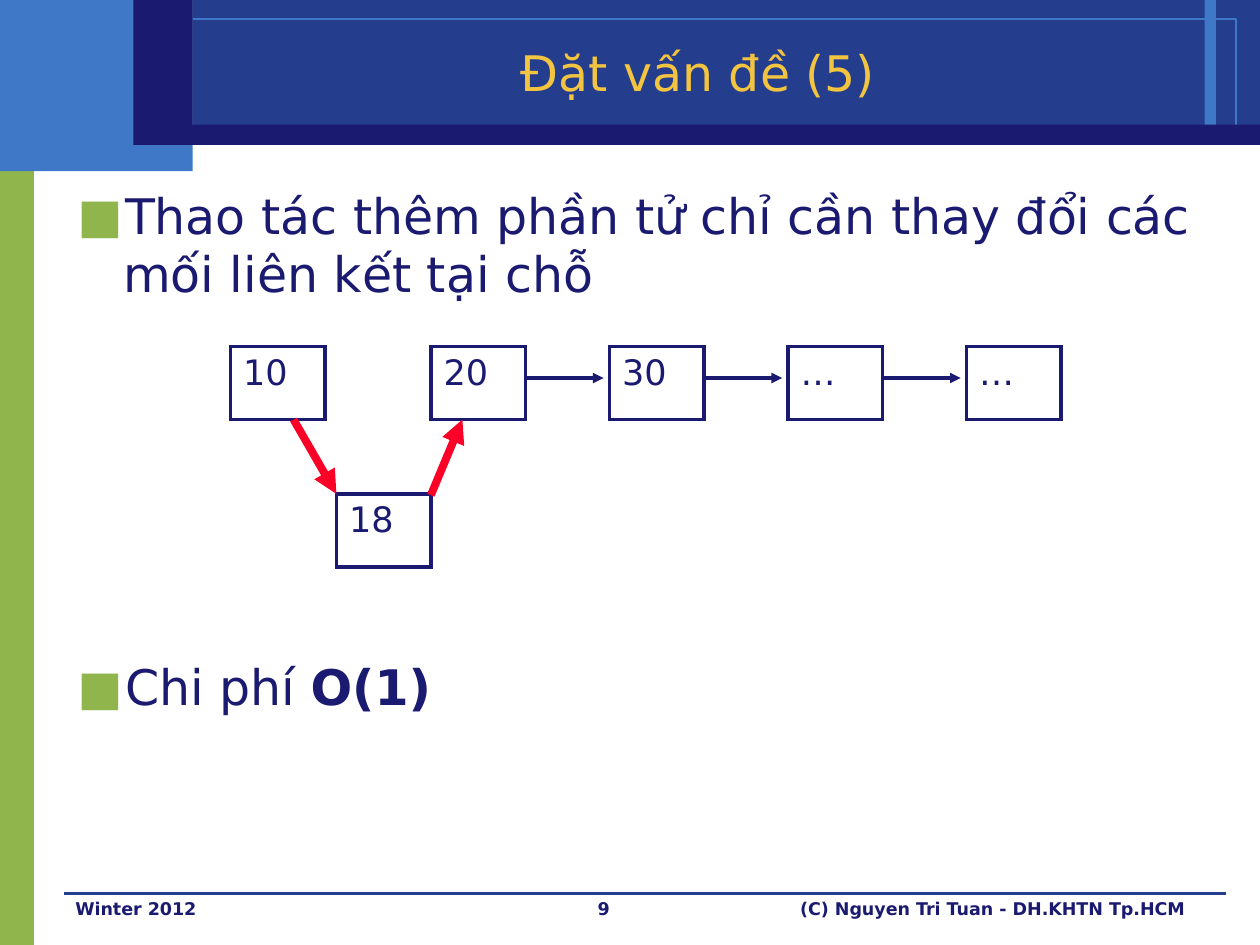
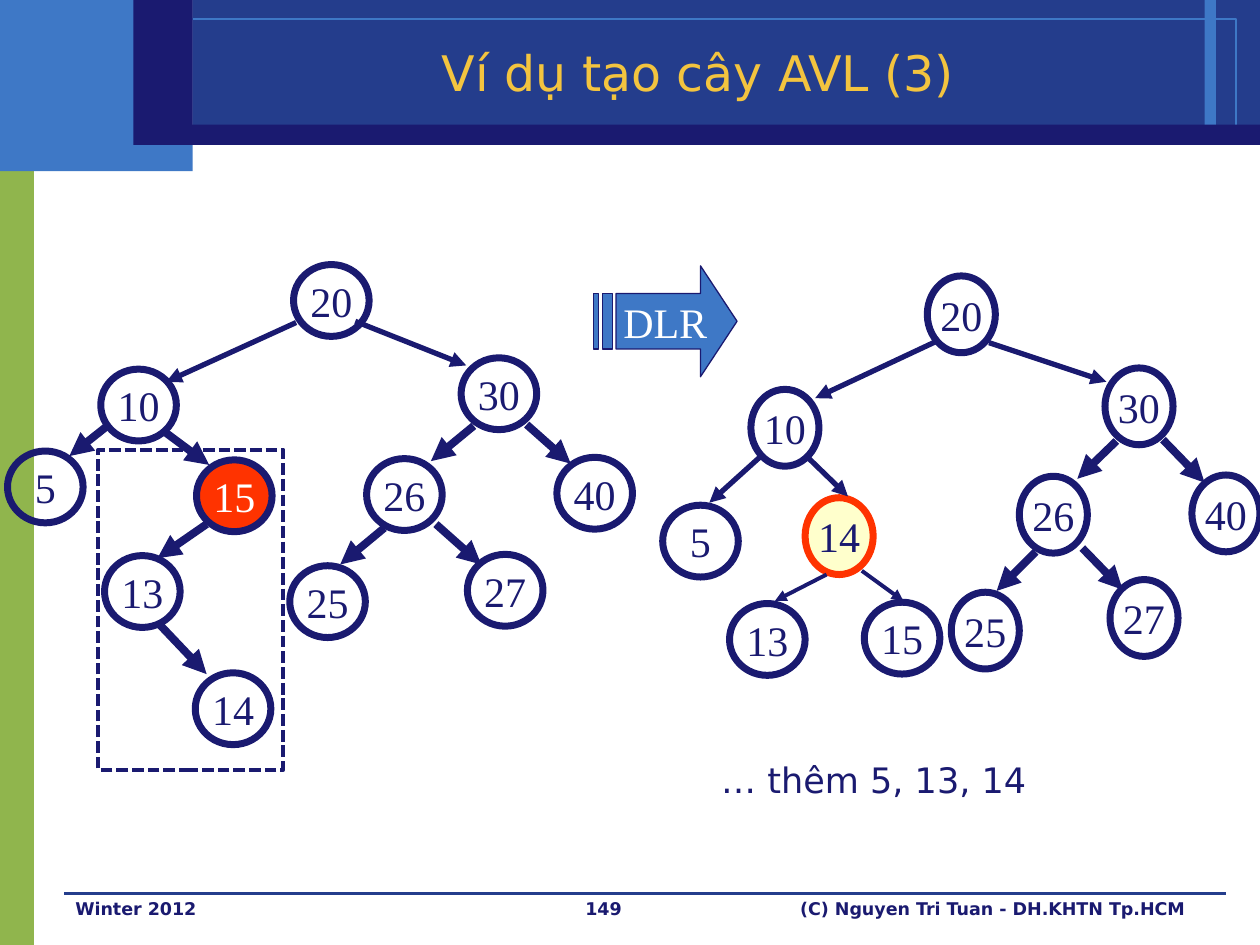
from lxml import etree
from pptx import Presentation
from pptx import util as u
from pptx.dml.color import RGBColor
from pptx.enum import dml, shapes, text
from pptx.oxml import ns

WIDE, HIGH = u.Inches(10), u.Inches(7.5)
COLS, ROWS = 100, 75
COL, ROW = WIDE // COLS, HIGH // ROWS

NAVY = RGBColor(0x1A, 0x1A, 0x70)
BLUE = RGBColor(0x24, 0x3D, 0x8C)
SKY = RGBColor(0x3E, 0x78, 0xC6)
GREEN = RGBColor(0x90, 0xB5, 0x4D)
GOLD = RGBColor(0xF3, 0xC4, 0x3F)
RED = RGBColor(0xFC, 0x01, 0x28)
FLAME = RGBColor(0xFF, 0x33, 0x00)
CREAM = RGBColor(0xFF, 0xFF, 0xCC)
WHITE = RGBColor(0xFF, 0xFF, 0xFF)

SANS, SERIF = "DejaVu Sans", "Times New Roman"
LEFT, MID, RIGHT = text.PP_ALIGN.LEFT, text.PP_ALIGN.CENTER, text.PP_ALIGN.RIGHT
RECT, OVAL = shapes.MSO_SHAPE.RECTANGLE, shapes.MSO_SHAPE.OVAL

WIDE_NODE, TALL_NODE = (6, 5.7), (5.4, 6.1)
CELL = (7.5, 5.8)


def grid(*spots):
    return [round(s * (ROW if i % 2 else COL)) for i, s in enumerate(spots)]


def child(parent, tag, **attrs):
    return etree.SubElement(parent, ns.qn(tag), **attrs)


def style(para, size, color, face=SANS, align=LEFT, bold=False):
    para.alignment = align
    for run in para.runs:
        font = run.font
        font.name, font.size, font.bold = face, u.Pt(size), bold
        font.color.rgb = color


def paint(shape, fill=None, line=None, width=0):
    shape.shadow.inherit = False
    if fill is None:
        shape.fill.background()
    else:
        shape.fill.solid()
        shape.fill.fore_color.rgb = fill
    if line is None:
        shape.line.fill.background()
    else:
        shape.line.color.rgb = line
        shape.line.width = u.Pt(width)


def block(slide, spot, kind=RECT, **look):
    shape = slide.shapes.add_shape(kind, *grid(*spot))
    paint(shape, **look)
    return shape


def label(shape, words, color):
    frame = shape.text_frame
    frame.text = words
    frame.word_wrap = False
    frame.vertical_anchor = text.MSO_ANCHOR.MIDDLE
    style(frame.paragraphs[0], 24, color, SERIF, MID)


def note(slide, spot, words, size, align=LEFT, bold=False):
    frame = slide.shapes.add_textbox(*grid(*spot)).text_frame
    frame.word_wrap = True
    frame.text = words
    style(frame.paragraphs[0], size, NAVY, align=align, bold=bold)


def rule(slide, ends, color, width, head=True):
    line = slide.shapes.add_connector(shapes.MSO_CONNECTOR.STRAIGHT, *grid(*ends))
    line.line.color.rgb = color
    line.line.width = u.Pt(width)
    if head:
        child(line.line._get_or_add_ln(), "a:tailEnd", type="triangle")
    child(line._element.spPr, "a:effectLst")


def rules(slide, width, *paths, color=NAVY):
    for ends in paths:
        rule(slide, ends, color, width)


def node(slide, words, x, y, size, fill=None, line=NAVY, color=NAVY):
    oval = block(slide, (x, y, *size), OVAL, fill=fill, line=line, width=4)
    label(oval, words, color)


def nodes(slide, size, spots):
    for words, (x, y) in spots.items():
        node(slide, words, x, y, size)


def cell(slide, words, x, y):
    frame = slide.shapes.add_table(1, 1, *grid(x, y, *CELL))
    table = frame.table
    table.first_row = table.horz_banding = False
    box = table.cell(0, 0)
    box.text = words
    style(box.text_frame.paragraphs[0], 20, NAVY)
    props = box._tc.get_or_add_tcPr()
    for side in ("a:lnL", "a:lnR", "a:lnT", "a:lnB"):
        edge = child(props, side, w=str(u.Pt(2.25)))
        child(child(edge, "a:solidFill"), "a:srgbClr", val=str(NAVY))
    box.fill.background()


def bullet(para):
    props = para._p.get_or_add_pPr()
    hang = round(3.8 * COL)
    props.set("marL", str(hang))
    props.set("indent", str(-hang))
    child(child(props, "a:buClr"), "a:srgbClr", val=str(GREEN))
    child(props, "a:buSzPct", val="150000")
    child(props, "a:buFont", typeface=SANS)
    child(props, "a:buChar", char="▪")


def points(slide, spot, items, gap):
    frame = slide.shapes.add_textbox(*grid(*spot)).text_frame
    frame.word_wrap = True
    for i, (plain, strong) in enumerate(items):
        para = frame.add_paragraph() if i else frame.paragraphs[0]
        bullet(para)
        para.add_run().text = plain
        if strong:
            para.add_run().text = strong
        style(para, 28, NAVY)
        if i:
            para.space_before = u.Pt(gap)
        if strong:
            para.runs[-1].font.bold = True


def arrow(slide, words):
    top, low, mid = 23.3, 27.7, 25.5
    paths = [[(55.6, 21.1), (55.6, top), (48.9, top), (48.9, low),
              (55.6, low), (55.6, 29.9), (58.5, mid)]]
    for a, b in ((47.8, 48.6), (47.1, 47.5)):
        paths.append([(a, top), (a, low), (b, low), (b, top)])
    pen = None
    for path in paths:
        start, *rest = [grid(*spot) for spot in path]
        if pen is None:
            pen = slide.shapes.build_freeform(*start)
        else:
            pen.move_to(*start)
        pen.add_line_segments(rest, close=True)
    shape = pen.convert_to_shape()
    paint(shape, SKY, NAVY, 0.75)
    label(shape, words, WHITE)


def page(deck, title, number):
    slide = deck.slides.add_slide(deck.slide_layouts[5])
    block(slide, (0, 10.7, 2.7, 64.3), fill=GREEN)
    block(slide, (0, 0, 15.3, 13.6), fill=SKY)
    block(slide, (15.3, 0, 84.7, 11.5), fill=BLUE)
    block(slide, (95.6, 0, 0.9, 10), fill=SKY)
    block(slide, (2, 1.5, 96.1, 8.5), line=SKY)
    rule(slide, (5.1, 70.9, 97.3, 70.9), BLUE, 0, head=False)
    block(slide, (13, 9.9, 87, 1.6), fill=NAVY)
    block(slide, (10.6, 0, 4.7, 11.5), fill=NAVY)
    foot = ((40, 15.8, number, MID), (5, 23.3, "Winter 2012", LEFT),
            (59.2, 35.8, "(C) Nguyen Tri Tuan - DH.KHTN Tp.HCM", RIGHT))
    for x, wide, words, align in foot:
        note(slide, (x, 70.8, wide, 4.2), words, 10, align, True)
    head = slide.shapes.title
    head.left, head.top, head.width, head.height = grid(15, 2.6, 80.8, 6.2)
    head.text_frame.text = title
    head.text_frame.vertical_anchor = text.MSO_ANCHOR.MIDDLE
    style(head.text_frame.paragraphs[0], 28, GOLD, align=MID)
    head._element.getparent().append(head._element)
    return slide


def chain(deck):
    slide = page(deck, "Đặt vấn đề (5)", "9")
    points(slide, (5, 14.2, 91.7, 55.8), (
        ("Thao tác thêm phần tử chỉ cần thay đổi các mối liên kết tại chỗ", ""),
        ("Chi phí ", "O(1)")), 202)
    cell(slide, "18", 26.7, 39.2)
    cell(slide, "10", 18.3, 27.5)
    for i, words in enumerate(("20", "30", "…", "…")):
        x = 34.2 + 14.17 * i
        cell(slide, words, x, 27.5)
        if i < 3:
            rule(slide, (x + CELL[0], 30, x + 13.7, 30), NAVY, 2)
    rules(slide, 4.5, (34.2, 39.3, 36.7, 33.3), (23.3, 33.3, 26.7, 39.2), color=RED)


def before(slide):
    rules(slide, 3, (23.5, 25.6, 13.2, 30.3), (28.2, 25.5, 37, 29))
    rules(slide, 4.5, (13.1, 34.3, 16.6, 36.9), (41.8, 33.7, 45.3, 36.8),
          (37.6, 33.8, 34.2, 36.6), (34.6, 41.6, 38.2, 44.8),
          (30.5, 41.9, 27, 44.8), (8.4, 33.9, 5.5, 36.2),
          (12.7, 49.6, 16.4, 53.5), (16.4, 41.6, 12.5, 44.3))
    nodes(slide, WIDE_NODE, {
        "20": (23.3, 21), "10": (8, 29.3), "30": (36.6, 28.4),
        "5": (0.6, 35.8), "26": (29.1, 36.4), "40": (44.2, 36.3),
        "13": (8.3, 44.1), "25": (23, 44.9), "27": (37.1, 44), "14": (15.5, 53.4)})
    node(slide, "15", 15.6, 36.5, WIDE_NODE, fill=FLAME, color=WHITE)
    frame = block(slide, (7.8, 35.7, 14.7, 25.4), line=NAVY, width=2.25)
    frame.line.dash_style = dml.MSO_LINE.SQUARE_DOT


def after(slide):
    nodes(slide, TALL_NODE, {
        "20": (73.6, 21.9), "10": (59.6, 30.9), "30": (87.7, 29.2),
        "26": (80.9, 37.8), "40": (94.6, 37.7), "25": (75.5, 47), "27": (88.1, 46)})
    nodes(slide, WIDE_NODE, {"5": (52.6, 40.1), "13": (57.9, 47.9), "15": (68.6, 47.8)})
    node(slide, "14", 63.9, 39.5, TALL_NODE, fill=CREAM, line=FLAME)
    rules(slide, 3, (74.3, 27.1, 64.7, 31.6), (78.5, 27.2, 87.8, 30.3),
          (63.9, 36.1, 67.3, 39.4), (60.4, 36.2, 56.3, 39.9))
    rules(slide, 4.5, (92.3, 34.9, 95.6, 38.3), (88.6, 35, 85.5, 38),
          (85.9, 43.5, 89.1, 46.8), (82.2, 43.8, 79.1, 46.9))
    rules(slide, 2.25, (65.6, 45.6, 61.5, 47.7), (68.4, 45.3, 71.7, 47.7))


def trees(deck):
    slide = page(deck, "Ví dụ tạo cây AVL (3)", "149")
    note(slide, (55.6, 59.7, 27.5, 4.4), "… thêm 5, 13, 14", 20, MID)
    before(slide)
    arrow(slide, "DLR")
    after(slide)


def main():
    deck = Presentation()
    deck.slide_width, deck.slide_height = WIDE, HIGH
    chain(deck)
    trees(deck)
    deck.save("out.pptx")


if __name__ == "__main__":
    main()
